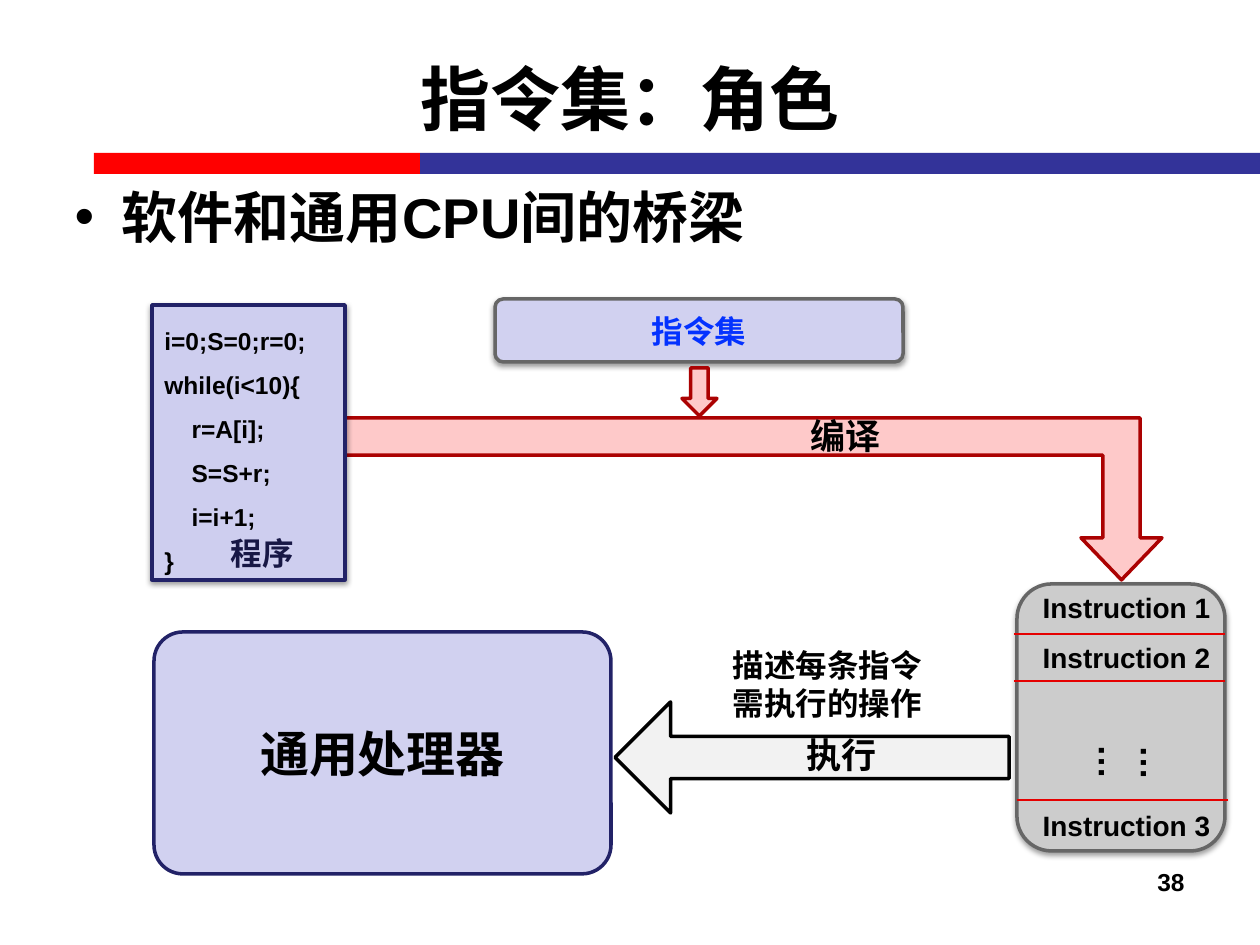
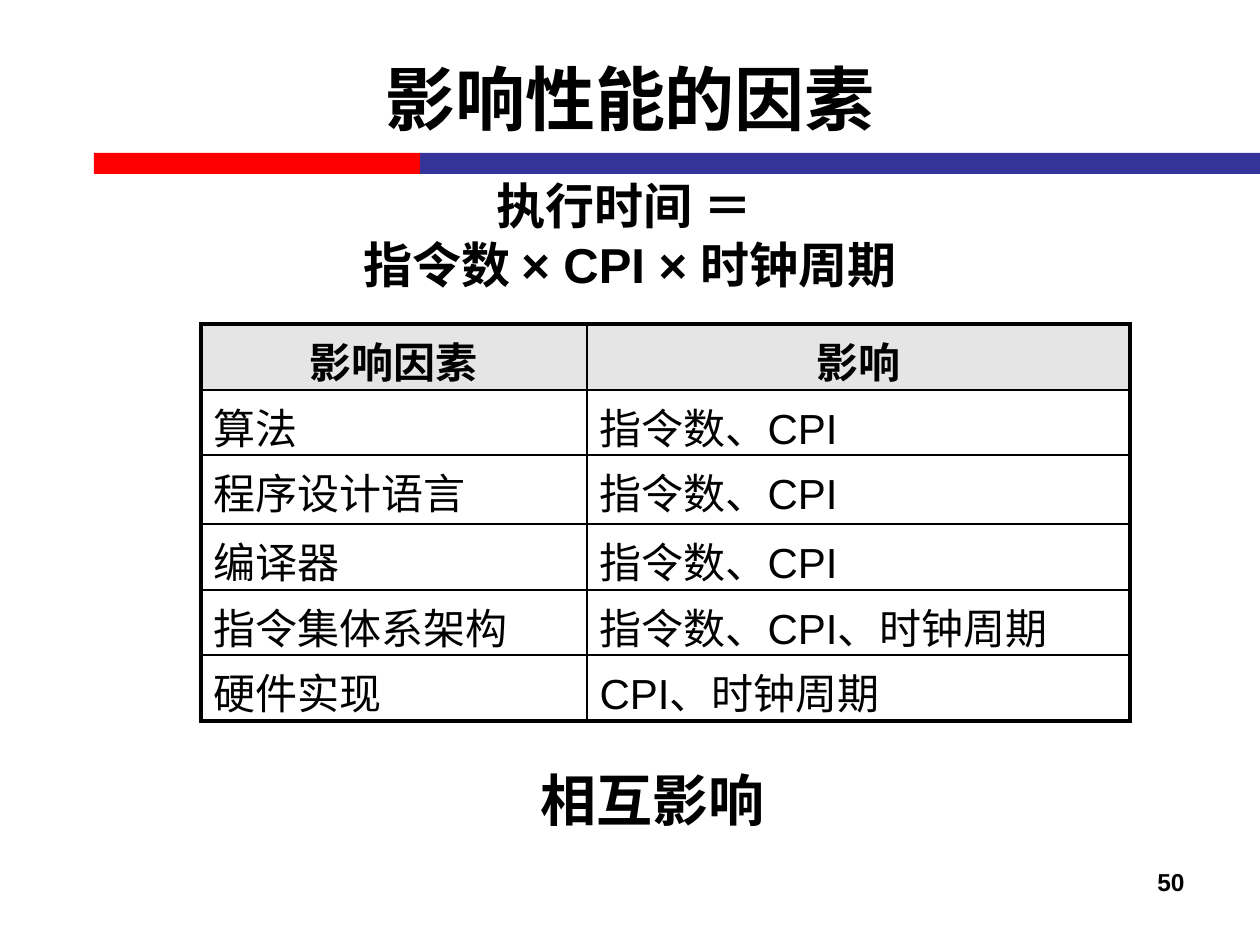
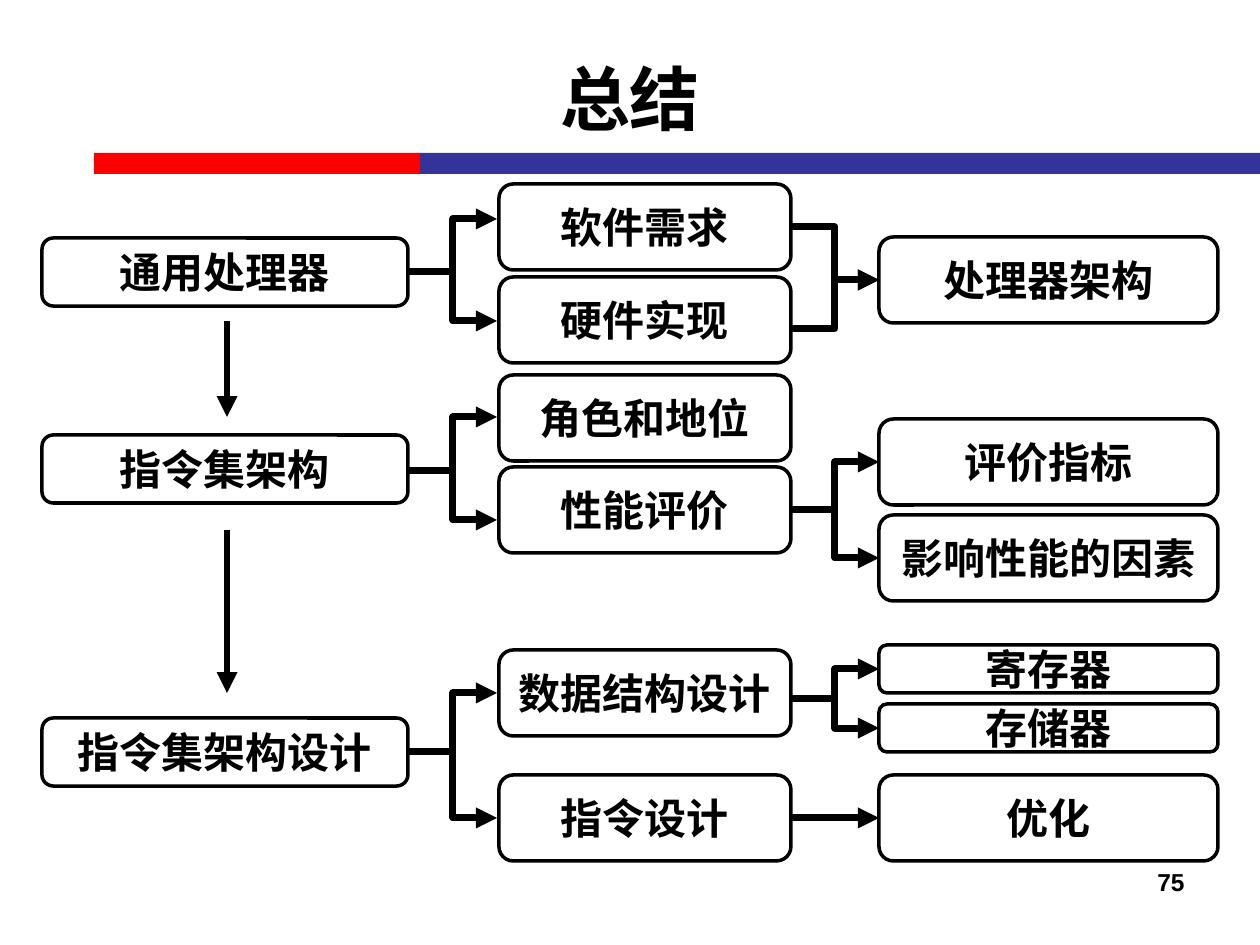
from lxml import etree
from pptx import Presentation
from pptx.dml.color import RGBColor
from pptx.enum.shapes import MSO_CONNECTOR as LINK, MSO_SHAPE as SHAPE
from pptx.enum.text import MSO_ANCHOR as ANCHOR, PP_ALIGN as ALIGN
from pptx.oxml.ns import qn
from pptx.util import Emu, Pt

PX = 914400 / 126
FONT = "Arial"
BLACK = RGBColor(0x00, 0x00, 0x00)
WHITE = RGBColor(0xFF, 0xFF, 0xFF)
RED = RGBColor(0xFF, 0x00, 0x00)
INDIGO = RGBColor(0x33, 0x33, 0x99)
LAVENDER = RGBColor(0xD1, 0xD1, 0xF0)
CODE_FILL = RGBColor(0xCE, 0xCE, 0xEF)
NAVY = RGBColor(0x22, 0x22, 0x67)
DARK_NAVY = RGBColor(0x17, 0x17, 0x45)
BRIGHT_BLUE = RGBColor(0x04, 0x32, 0xFF)
PINK = RGBColor(0xFE, 0xC9, 0xC9)
DARK_RED = RGBColor(0xAB, 0x02, 0x02)
RULE_RED = RGBColor(0xE5, 0x00, 0x00)
GREY = RGBColor(0xCC, 0xCC, 0xCC)
DARK_GREY = RGBColor(0x66, 0x66, 0x66)
PALE_GREY = RGBColor(0xF2, 0xF2, 0xF2)
HEADER_GREY = RGBColor(0xE5, 0xE5, 0xE5)


def add_box(slide, kind, box, text="", size=24, color=BLACK, fill=None, line=None,
            align=ALIGN.CENTER, anchor=ANCHOR.MIDDLE, wrap=True, shadow=False):
    """Add a preset shape, or a text box where kind is None; box is in px."""
    frame = [Emu(round(value * PX)) for value in box]
    if kind is None:
        shape = slide.shapes.add_textbox(*frame)
        anchor = ANCHOR.TOP
    else:
        shape = slide.shapes.add_shape(kind, *frame)
        shape.shadow.inherit = False
        shape.fill.solid()
        shape.fill.fore_color.rgb = fill
        if line is None:
            shape.line.fill.background()
        else:
            shape.line.color.rgb = line
            shape.line.width = Pt(2)
    if shadow:
        effects = shape.element.spPr.find(qn("a:effectLst"))
        outer = etree.SubElement(effects, qn("a:outerShdw"), blurRad="40000",
                                 dist="20000", dir="5400000", rotWithShape="0")
        shade = etree.SubElement(outer, qn("a:srgbClr"), val="000000")
        etree.SubElement(shade, qn("a:alpha"), val="38000")
    if text:
        shape.text_frame.word_wrap = wrap
        shape.text_frame.vertical_anchor = anchor
        shape.text_frame.text = text
        for paragraph in shape.text_frame.paragraphs:
            paragraph.alignment = align
            for run in paragraph.runs:
                run.font.name, run.font.size, run.font.bold = FONT, Pt(size), True
                run.font.color.rgb = color
    return shape


def add_line(slide, kind, begin, end, color=BLACK, width=4, arrow=True):
    ends = [Emu(round(value * PX)) for value in (*begin, *end)]
    connector = slide.shapes.add_connector(kind, *ends)
    connector.line.color.rgb = color
    connector.line.width = Pt(width)
    if arrow:
        outline = connector.element.spPr.find(qn("a:ln"))
        etree.SubElement(outline, qn("a:tailEnd"), type="triangle")
    etree.SubElement(connector.element.spPr, qn("a:effectLst"))
    return connector


presentation = Presentation()
presentation.slide_width = Emu(round(1260 * PX))
presentation.slide_height = Emu(round(945 * PX))
CONTENT, TITLE_ONLY = 1, 5

# Title, bands and page number of every slide
slides = []
for layout, title, number in [(CONTENT, "指令集：角色", "38"),
                              (TITLE_ONLY, "影响性能的因素", "50"),
                              (TITLE_ONLY, "总结", "75")]:
    slide = presentation.slides.add_slide(presentation.slide_layouts[layout])
    heading = slide.shapes.title
    heading.left, heading.top, heading.width, heading.height = [
        Emu(round(value * PX)) for value in (63, 19, 1134, 157)]
    heading.text_frame.text = title
    heading.text_frame.vertical_anchor = ANCHOR.MIDDLE
    heading.text_frame.paragraphs[0].alignment = ALIGN.CENTER
    font = heading.text_frame.paragraphs[0].runs[0].font
    font.name, font.size, font.bold = FONT, Pt(40), True
    font.color.rgb = BLACK
    add_box(slide, SHAPE.RECTANGLE, (94, 153, 326, 21), fill=RED)
    add_box(slide, SHAPE.RECTANGLE, (420, 153, 840, 21), fill=INDIGO)
    add_box(slide, None, (903, 861, 294, 66), number, 14, align=ALIGN.RIGHT)
    slides.append(slide)
role_slide, factor_slide, summary_slide = slides

# Role of the instruction set
body = role_slide.placeholders[1]
body.left, body.top, body.width, body.height = [
    Emu(round(value * PX)) for value in (62, 176, 1134, 725)]
body.text_frame.text = "软件和通用CPU间的桥梁"
font = body.text_frame.paragraphs[0].runs[0].font
font.name, font.size, font.bold = FONT, Pt(32), True
font.color.rgb = BLACK

compile_arrow = add_box(role_slide, SHAPE.BENT_UP_ARROW, (344, 418, 818, 162),
                        fill=PINK, line=DARK_RED)
compile_arrow.element.spPr.xfrm.set("flipV", "1")
for index, value in enumerate((0.23, 0.25, 0.26)):
    compile_arrow.adjustments[index] = value

code = """i=0;S=0;r=0;
while(i<10){
    r=A[i];
    S=S+r;
    i=i+1;
}"""
program = add_box(role_slide, SHAPE.RECTANGLE, (152, 305, 193, 275), code, 14,
                  fill=CODE_FILL, line=NAVY, align=ALIGN.LEFT, anchor=ANCHOR.TOP,
                  shadow=True)
for paragraph in program.text_frame.paragraphs:
    paragraph.line_spacing = 1.5

execute_arrow = add_box(role_slide, SHAPE.LEFT_ARROW, (615, 702, 394, 111),
                        fill=PALE_GREY, line=BLACK)
execute_arrow.adjustments[0] = 0.38
instruction_set = add_box(role_slide, SHAPE.ROUNDED_RECTANGLE, (495, 299, 408, 63),
                          "指令集", 18, BRIGHT_BLUE, LAVENDER, DARK_GREY, shadow=True)
instruction_set.adjustments[0] = 0.13
add_box(role_slide, SHAPE.DOWN_ARROW, (682, 368, 35, 48), fill=PINK, line=DARK_RED)
processor = add_box(role_slide, SHAPE.ROUNDED_RECTANGLE, (154, 632, 457, 242),
                    "通用处理器", 28, fill=LAVENDER, line=NAVY)
processor.adjustments[0] = 0.12

add_box(role_slide, SHAPE.ROUNDED_RECTANGLE, (1017, 584, 208, 267),
        fill=GREY, line=DARK_GREY, shadow=True)
ellipsis = add_box(role_slide, None, (1087, 714, 93, 97), "……", 20)
ellipsis.rotation = 90
for left, y in [(1014, 634), (1014, 681), (1017, 800)]:
    add_line(role_slide, LINK.STRAIGHT, (left, y), (left + 211, y), RULE_RED, 0.75, False)

for text, size, color, box in [
        ("编译", 20, BLACK, (797, 408, 97, 55)),
        ("描述每条指令\v需执行的操作", 18, BLACK, (717, 640, 220, 89)),
        ("Instruction 1", 16, BLACK, (1029, 584, 195, 47)),
        ("Instruction 2", 16, BLACK, (1029, 634, 195, 47)),
        ("Instruction 3", 16, BLACK, (1029, 802, 195, 47)),
        ("程序", 18, DARK_NAVY, (217, 528, 91, 50)),
        ("执行", 20, BLACK, (793, 727, 97, 55))]:
    add_box(role_slide, None, box, text, size, color, wrap=False)

# Factors of performance
add_box(factor_slide, None, (101, 169, 1058, 131),
        "执行时间 ＝ \v指令数 × CPI × 时钟周期", 28)
factors = [("影响因素", "影响"),
           ("算法", "指令数、CPI"),
           ("程序设计语言", "指令数、CPI"),
           ("编译器", "指令数、CPI"),
           ("指令集体系架构", "指令数、CPI、时钟周期"),
           ("硬件实现", "CPI、时钟周期")]
row_heights = [66, 65, 69, 66, 65, 66]
column_widths = [386, 543]
table = factor_slide.shapes.add_table(
    len(factors), 2, *[Emu(round(value * PX)) for value in (
        201, 324, sum(column_widths), sum(row_heights))]).table
table.first_row = table.horz_banding = False
for column, width in zip(table.columns, column_widths):
    column.width = Emu(round(width * PX))
last = len(factors) - 1
for row, texts in enumerate(factors):
    table.rows[row].height = Emu(round(row_heights[row] * PX))
    for column, text in enumerate(texts):
        cell = table.cell(row, column)
        properties = cell._tc.get_or_add_tcPr()
        for side, outer in [("L", column == 0), ("R", column == 1),
                            ("T", row == 0), ("B", row == last)]:
            border = etree.SubElement(properties, qn(f"a:ln{side}"),
                                      w=str(Pt(2.25 if outer else 1)))
            solid = etree.SubElement(border, qn("a:solidFill"))
            etree.SubElement(solid, qn("a:srgbClr"), val=str(BLACK))
        if row == 0:
            cell.fill.solid()
            cell.fill.fore_color.rgb = HEADER_GREY
        else:
            cell.fill.background()
        cell.text_frame.text = text
        paragraph = cell.text_frame.paragraphs[0]
        paragraph.alignment = ALIGN.CENTER if row == 0 else ALIGN.LEFT
        font = paragraph.runs[0].font
        font.name, font.size, font.bold = FONT, Pt(24), row == 0
        font.color.rgb = BLACK
add_box(factor_slide, None, (513, 759, 280, 81), "相互影响", 32)

# Summary: each column has its left edge, its width and (text, top, height) boxes
columns = [
    (42, 366, [("通用处理器", 238, 68), ("指令集架构", 435, 68),
               ("指令集架构设计", 718, 68)]),
    (499, 292, [("软件需求", 184, 86), ("硬件实现", 277, 86), ("角色和地位", 375, 86),
                ("性能评价", 467, 86), ("数据结构设计", 650, 86), ("指令设计", 775, 86)]),
    (879, 339, [("处理器架构", 237, 86), ("评价指标", 419, 86), ("影响性能的因素", 515, 86),
                ("寄存器", 645, 48), ("存储器", 704, 48), ("优化", 775, 86)])]
topics = {}
for left, width, boxes in columns:
    for text, top, height in boxes:
        topics[text] = add_box(summary_slide, SHAPE.ROUNDED_RECTANGLE,
                               (left, top, width, height), text, fill=WHITE, line=BLACK)

for begin_x, end_x, heights in [
        (409, 497, [(272, 219), (272, 321), (471, 417), (471, 520), (752, 693), (752, 818)]),
        (791, 879, [(227, 280), (329, 280), (510, 462), (510, 558), (699, 669), (699, 728)])]:
    for begin_y, end_y in heights:
        add_line(summary_slide, LINK.ELBOW, (begin_x, begin_y), (end_x, end_y))
for begin_y, end_y in [(321, 417), (530, 693)]:
    add_line(summary_slide, LINK.STRAIGHT, (227, begin_y), (227, end_y))
optimise = add_line(summary_slide, LINK.STRAIGHT, (791, 818), (879, 818))
optimise.begin_connect(topics["指令设计"], 3)
optimise.end_connect(topics["优化"], 1)

presentation.save("out.pptx")
